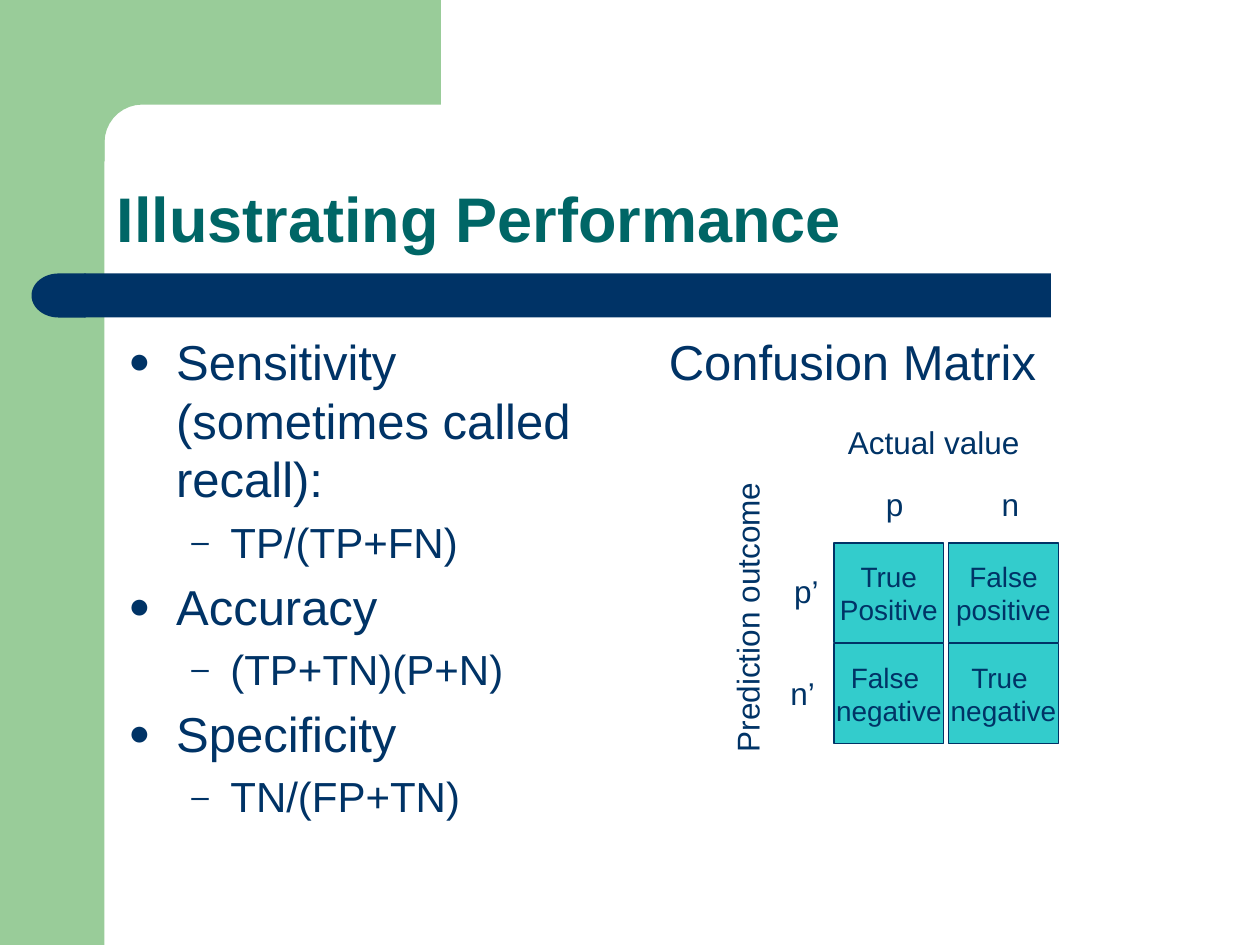
"""Build a slide on classifier performance with a confusion matrix."""
import math
from pptx import Presentation
from pptx import util as u
from pptx.dml.color import RGBColor
from pptx.enum import shapes, text
from pptx.oxml.ns import qn
from lxml import etree

GREEN = RGBColor(0x99, 0xCC, 0x99)
NAVY = RGBColor(0x00, 0x33, 0x66)
TEAL = RGBColor(0x00, 0x66, 0x66)
AQUA = RGBColor(0x33, 0xCC, 0xCC)
KIND = shapes.MSO_SHAPE

deck = Presentation()
deck.slide_width, deck.slide_height = u.Inches(10), u.Inches(7.5)
slide = deck.slides.add_slide(deck.slide_layouts[6])


def block(kind, box, fill):
    shape = slide.shapes.add_shape(kind, *map(u.Inches, box))
    shape.shadow.inherit = False
    shape.fill.solid()
    shape.fill.fore_color.rgb = fill
    shape.line.fill.background()
    return shape


def write(shape, lines, size, color=NAVY, align=text.PP_ALIGN.LEFT, wrap=False):
    frame = shape.text_frame
    frame.word_wrap = wrap
    frame.text = "\n".join(lines)
    for para in frame.paragraphs:
        para.alignment = align
        font = para.font
        font.name, font.size, font.color.rgb = "Arial", u.Pt(size), color
    return frame


block(KIND.RECTANGLE, (0, 0, 0.83, 7.5), GREEN)
side, top, rad = 0.83, 0.83, 0.3
turns = [math.radians(10 * step) for step in range(10)]
curve = [(side + rad * (1 - math.sin(a)), top + rad * (1 - math.cos(a))) for a in turns]
edge = [(3.5, 0), (3.5, top), *curve, (side, 1.28), (0.5, 1.28), (0.5, 0)]
pen = slide.shapes.build_freeform(u.Inches(3.5), 0, scale=1.0)
pen.add_line_segments([(u.Inches(x), u.Inches(y)) for x, y in edge[1:]])
corner = pen.convert_to_shape()
corner.shadow.inherit = False
corner.fill.solid()
corner.fill.fore_color.rgb = GREEN
corner.line.fill.background()

block(KIND.RECTANGLE, (0.67, 2.17, 7.67, 0.35), NAVY)
block(KIND.FLOWCHART_DELAY, (0.25, 2.17, 0.43, 0.35), NAVY).rotation = 180

title = slide.shapes.add_textbox(*map(u.Inches, (0.83, 0.83, 8.67, 1.25)))
frame = write(title, ["Illustrating Performance"], 36, TEAL, wrap=True)
frame.vertical_anchor = text.MSO_ANCHOR.BOTTOM
frame.paragraphs[0].font.bold = True
frame.paragraphs[0].line_spacing = 0.9

scores = [
    "Sensitivity (sometimes called recall):", "TP/(TP+FN)",
    "Accuracy", "(TP+TN)(P+N)",
    "Specificity", "TN/(FP+TN)",
]
levels = [(28, 0.38, 0.38, "●"), (24, 0.81, 0.31, "–")]
for left, lines in ((0.92, scores), (5.21, ["Confusion Matrix"])):
    body = slide.shapes.add_textbox(*map(u.Inches, (left, 2.58, 4.12, 4.07)))
    frame = write(body, lines, 28, wrap=True)
    for i, para in enumerate(frame.paragraphs):
        size, indent, hang, mark = levels[i % 2]
        para.level = i % 2
        para.font.size = u.Pt(size)
        para.space_before = u.Pt(size * 0.2)
        if lines is scores:
            props = para._p.get_or_add_pPr()
            props.set("marL", str(u.Inches(indent)))
            props.set("indent", str(-u.Inches(hang)))
            rules = [("buSzPct", "val", "75000"), ("buFont", "typeface", "Arial"),
                     ("buChar", "char", mark)]
            spot = props.index(props.find(qn("a:defRPr")))
            for step, (tag, key, value) in enumerate(rules):
                node = etree.Element(qn("a:" + tag))
                node.set(key, value)
                props.insert(spot + step, node)

cells = [["True\nPositive", "False\npositive"], ["False \nnegative", "True \nnegative"]]
for row, names in enumerate(cells):
    for col, name in enumerate(names):
        box = (6.62 + 0.91 * col, 4.31 + 0.8 * row, 0.87, 0.79)
        cell = block(KIND.RECTANGLE, box, AQUA)
        cell.line.color.rgb = NAVY
        cell.line.width = u.Pt(0.75)
        frame = write(cell, name.split("\n"), 16, align=text.PP_ALIGN.CENTER)
        frame.vertical_anchor = text.MSO_ANCHOR.MIDDLE

labels = [
    ("Actual value", 6.62, 3.31, 1.58, 0),
    ("Prediction outcome", 4.75, 4.7, 2.36, 270),
    ("p", 6.93, 3.8, 0.34, 0),
    ("n", 7.85, 3.8, 0.34, 0),
    ("p’", 6.2, 4.49, 0.4, 0),
    ("n’", 6.17, 5.3, 0.4, 0),
]
for name, left, high, width, turn in labels:
    label = slide.shapes.add_textbox(*map(u.Inches, (left, high, width, 0.4)))
    label.rotation = turn
    write(label, [name], 18, align=text.PP_ALIGN.CENTER)

deck.save("out.pptx")
